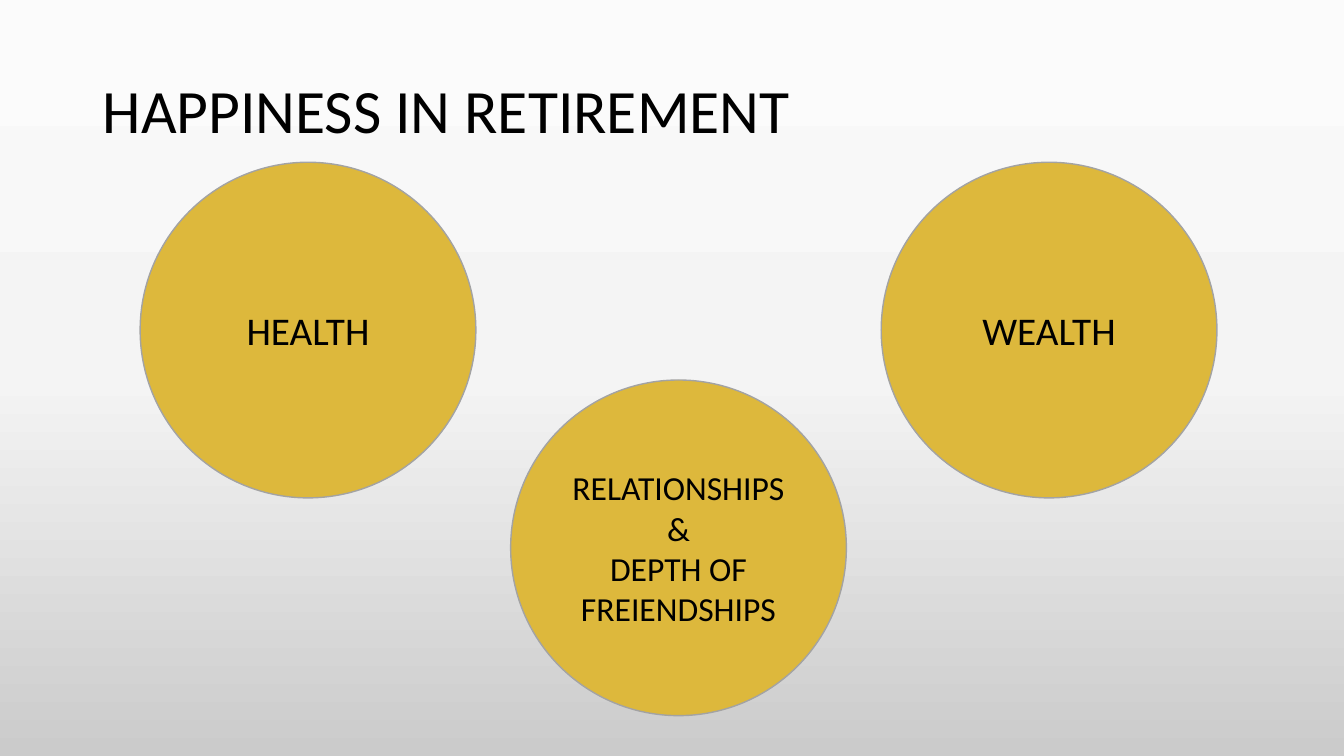
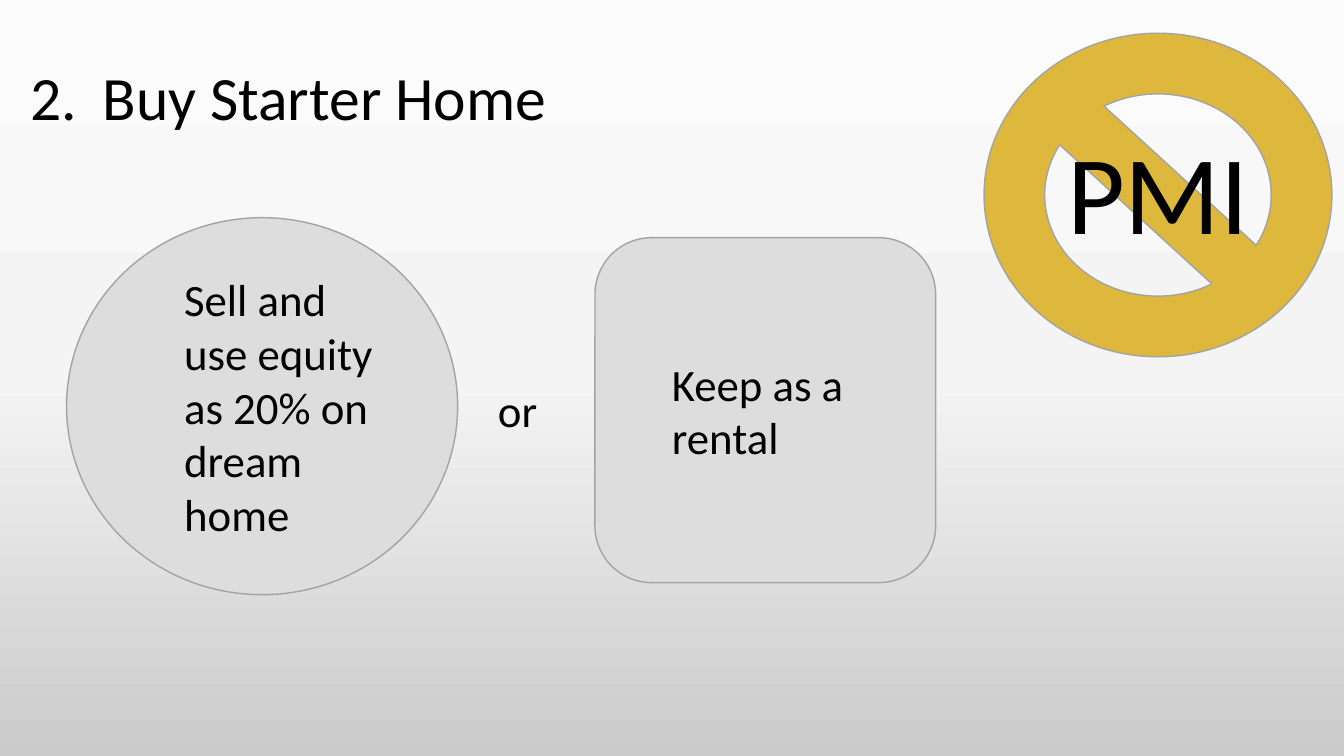
from collections import namedtuple
from copy import deepcopy

from lxml import etree
from pptx import Presentation
from pptx.dml.color import RGBColor
from pptx.enum.shapes import MSO_SHAPE
from pptx.enum.text import MSO_ANCHOR, PP_ALIGN
from pptx.oxml.ns import qn
from pptx.util import Inches, Pt

Box = namedtuple("Box", "left top width height")

SLIDE_WIDTH, SLIDE_HEIGHT = 13.33, 7.5
FONT = "Calibri"
BLACK = RGBColor(0x00, 0x00, 0x00)
GOLD = RGBColor(0xDD, 0xB8, 0x3C)
SILVER = RGBColor(0xDD, 0xDD, 0xDD)
OUTLINE = RGBColor(0xA3, 0xA3, 0xA3)
BACKGROUND_STOPS = [
    (0, RGBColor(0xFB, 0xFB, 0xFB)),
    (0.5, RGBColor(0xF4, 0xF4, 0xF4)),
    (1, RGBColor(0xCB, 0xCB, 0xCB)),
]

OVAL = MSO_SHAPE.OVAL
ROUNDED = MSO_SHAPE.ROUNDED_RECTANGLE
NO_SYMBOL = MSO_SHAPE.NO_SYMBOL
MIDDLE, TOP = MSO_ANCHOR.MIDDLE, MSO_ANCHOR.TOP
LEFT, CENTER = PP_ALIGN.LEFT, PP_ALIGN.CENTER


def inside(box, left, top, width, height):
    return Box(box.left + left * box.width, box.top + top * box.height,
               width * box.width, height * box.height)


def set_background(master):
    fill = master.background.fill
    fill.gradient()
    fill.gradient_angle = 270
    stop_list = master.element.find(f".//{qn('a:gsLst')}")
    stop_list.insert(1, deepcopy(stop_list[0]))
    for stop, (position, color) in zip(fill.gradient_stops, BACKGROUND_STOPS):
        stop.position = position
        stop.color.rgb = color


def write_text(shape, text, size, alignment=LEFT, anchor=MIDDLE, indent=0):
    text_frame = shape.text_frame
    text_frame.word_wrap = True
    text_frame.vertical_anchor = anchor
    text_frame.text = text
    for paragraph in text_frame.paragraphs:
        paragraph.alignment = alignment
        if indent:
            paragraph._p.get_or_add_pPr().set("marL", str(Inches(indent)))
        for run in paragraph.runs:
            run.font.name = FONT
            run.font.size = Pt(size)
            run.font.color.rgb = BLACK


def add_text(slide, box, text, size, anchor=TOP):
    shape = slide.shapes.add_textbox(*map(Inches, box))
    write_text(shape, text, size, anchor=anchor)
    return shape


def add_title(slide, box, text, number_width=0):
    shape = add_text(slide, box, text, 44, MIDDLE)
    paragraph = shape.text_frame.paragraphs[0]
    paragraph.line_spacing = 0.9
    if number_width:
        properties = paragraph._p.get_or_add_pPr()
        tab_list = etree.SubElement(properties, qn("a:tabLst"))
        etree.SubElement(tab_list, qn("a:tab"),
                         pos=str(Inches(number_width)), algn="l")


def add_figure(slide, kind, box, color):
    shape = slide.shapes.add_shape(kind, *map(Inches, box))
    shape.shadow.inherit = False
    shape.fill.solid()
    shape.fill.fore_color.rgb = color
    shape.line.color.rgb = OUTLINE
    shape.line.width = Pt(1)
    return shape


def add_happiness_circles(slide, box):
    diameter = 3.33
    column_step = (box.width - diameter) / 2
    low = box.height - diameter
    circles = [
        ("HEALTH", 28, 0),
        ("RELATIONSHIPS&\nDEPTH OF FREIENDSHIPS", 24, low),
        ("WEALTH", 28, 0),
    ]
    for column, (label, size, drop) in enumerate(circles):
        place = Box(box.left + column * column_step, box.top + drop,
                    diameter, diameter)
        circle = add_figure(slide, OVAL, place, GOLD)
        write_text(circle, label, size, CENTER)


def add_insurance_sign(slide, box):
    add_figure(slide, NO_SYMBOL, box, GOLD)
    add_text(slide, inside(box, 0.21, 0.26, 0.71, 0.45), "PMI", 80)


def add_home_choices(slide, box):
    choices = [
        (OVAL, inside(box, 0, 0, 0.45, 1),
         "Sell and use equity as 20% on dream home"),
        (ROUNDED, inside(box, 0.608, 0.053, 0.392, 0.915),
         "Keep as a rental"),
    ]
    for kind, place, label in choices:
        figure = add_figure(slide, kind, place, SILVER)
        write_text(figure, label, 32, indent=0.5)
    add_text(slide, inside(box, 0.485, 0.425, 0.09, 0.17), "or", 32)


def build_happiness_slide(slide):
    add_title(slide, Box(0.92, 0.4, 11.5, 1.45), "HAPPINESS IN RETIREMENT")
    add_happiness_circles(slide, Box(1.39, 1.61, 10.68, 5.49))


def build_starter_home_slide(slide):
    add_title(slide, Box(0.2, 0.27, 6.48, 1.45),
              "2.\tBuy Starter Home", number_width=0.72)
    add_insurance_sign(slide, Box(9.76, 0.33, 3.45, 3.21))
    add_home_choices(slide, Box(0.66, 2.16, 8.62, 3.74))


def main():
    presentation = Presentation()
    presentation.slide_width = Inches(SLIDE_WIDTH)
    presentation.slide_height = Inches(SLIDE_HEIGHT)
    set_background(presentation.slide_master)
    blank = presentation.slide_layouts[6]
    for build in (build_happiness_slide, build_starter_home_slide):
        build(presentation.slides.add_slide(blank))
    presentation.save("out.pptx")


if __name__ == "__main__":
    main()
